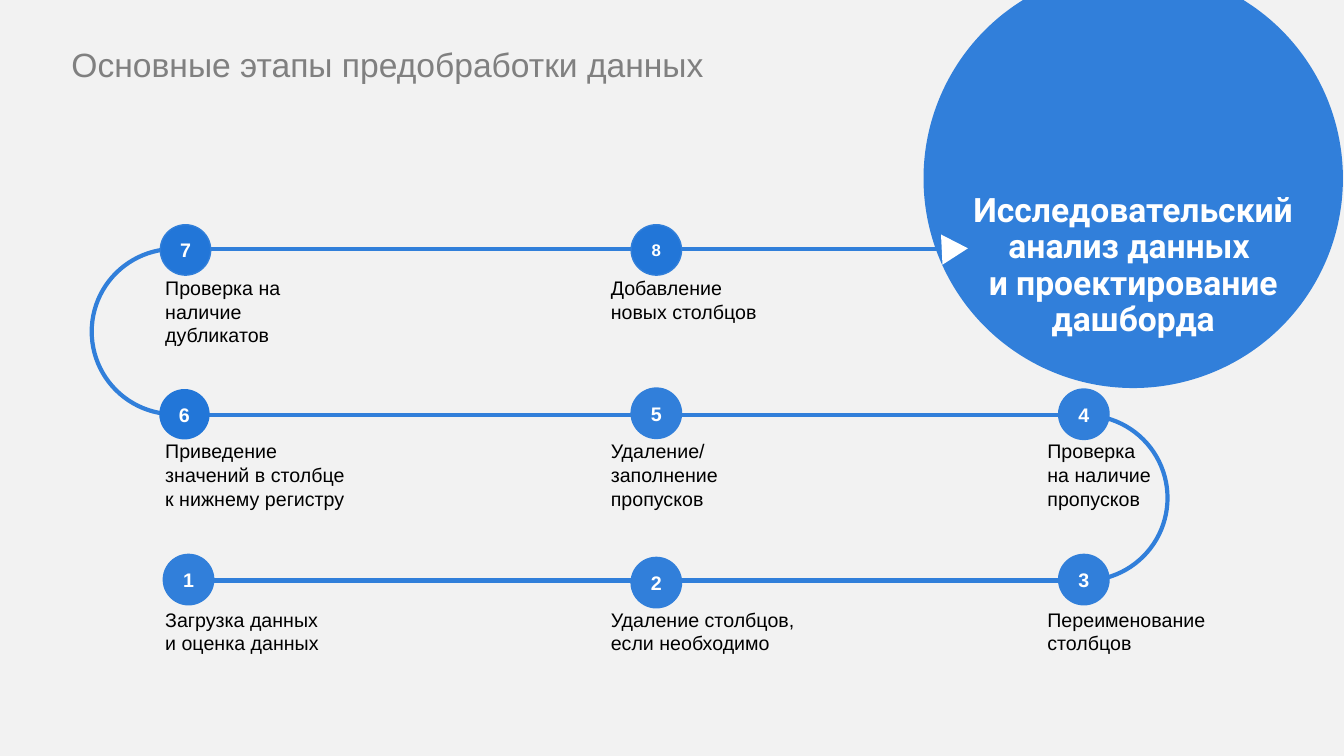
import pptx
import pptx.util
import pptx.dml.color
import pptx.enum.shapes
import pptx.enum.text
from lxml import etree

Inches, Pt = pptx.util.Inches, pptx.util.Pt
SHAPE = pptx.enum.shapes.MSO_SHAPE
ALIGN = pptx.enum.text.PP_ALIGN
COLORS = {
    name: pptx.dml.color.RGBColor.from_string(value)
    for name, value in {
        "background": "F2F2F2", "blue": "317FDA", "deep": "2276D8",
        "white": "FFFFFF", "black": "000000", "gray": "808080",
    }.items()
}

prs = pptx.Presentation()
prs.slide_width, prs.slide_height = Inches(13.33), Inches(7.5)
s = prs.slides.add_slide(prs.slide_layouts[6])
s.background.fill.solid()
s.background.fill.fore_color.rgb = COLORS["background"]


def add_shape(kind, box, fill=None, line=None, width=1):
    sp = s.shapes.add_shape(kind, *[Inches(v) for v in box])
    sp.shadow.inherit = False
    if fill:
        sp.fill.solid()
        sp.fill.fore_color.rgb = COLORS[fill]
    else:
        sp.fill.background()
    if line:
        sp.line.color.rgb = COLORS[line]
        sp.line.width = Pt(width)
    else:
        sp.line.fill.background()
    return sp


def write(tf, text, size, color, font="Arial", bold=False, align=ALIGN.LEFT, spacing=None):
    """Fill a text frame, one paragraph per line of text."""
    tf.word_wrap = True
    tf.text = text
    for p in tf.paragraphs:
        p.alignment = align
        p.line_spacing = spacing
        for r in p.runs:
            r.font.name, r.font.size, r.font.bold = font, Pt(size), bold
            r.font.color.rgb = COLORS[color]


# Goal circle and the winding route
add_shape(SHAPE.FLOWCHART_CONNECTOR, (9.16, -0.31, 4.16, 4.16), "blue")

for x1, x2, y in [(1.87, 9.33, 2.47), (1.59, 10.64, 4.12), (1.87, 10.64, 5.76)]:
    route = s.shapes.add_connector(
        pptx.enum.shapes.MSO_CONNECTOR.STRAIGHT,
        Inches(x1), Inches(y), Inches(x2), Inches(y))
    route.line.color.rgb = COLORS["blue"]
    route.line.width = Pt(3)
    etree.SubElement(route._element.spPr, pptx.oxml.ns.qn("a:effectLst"))

for x, y, end, flipped in [(0.91, 2.47, 54.82, True), (9.94, 4.12, 54.34, False)]:
    turn = add_shape(SHAPE.ARC, (x, y, 1.64, 1.64), line="blue", width=3)
    turn.adjustments[0] = 162
    turn.adjustments[1] = end
    if flipped:
        turn._element.spPr.get_or_add_xfrm().set("flipH", "1")

# Numbered steps: number, left, top, fill, outline, number size
steps = [
    (1, 1.62, 5.5, "blue", "blue", 14),
    (2, 6.26, 5.53, "blue", "blue", 14),
    (3, 10.5, 5.5, "blue", "blue", 14),
    (4, 10.5, 3.86, "blue", "blue", 14),
    (5, 6.26, 3.85, "blue", "blue", 14),
    (6, 1.58, 3.86, "deep", None, 14),
    (7, 1.59, 2.23, "deep", "blue", 14),
    (8, 6.26, 2.23, "deep", "blue", 12),
]
for number, x, y, fill, line, size in steps:
    badge = add_shape(SHAPE.FLOWCHART_CONNECTOR, (x, y, 0.5 if line else 0.5, 0.5), fill, line)
    tf = badge.text_frame
    tf.margin_left = tf.margin_right = tf.margin_top = tf.margin_bottom = 0
    tf.vertical_anchor = pptx.enum.text.MSO_ANCHOR.MIDDLE
    write(tf, str(number), size, "white", bold=True, align=ALIGN.CENTER)

# Step captions: columns and rows shared by the grid
LEFT, MIDDLE, RIGHT = 1.54, 5.96, 10.29
TOP_ROW, MIDDLE_ROW, BOTTOM_ROW = 2.69, 4.31, 5.98
captions = [
    (LEFT, BOTTOM_ROW, 1.76, 0.57, "Загрузка данных и оценка данных"),
    (MIDDLE, BOTTOM_ROW, 2.04, 0.57, "Удаление столбцов, если необходимо"),
    (RIGHT, BOTTOM_ROW, 2.04, 0.57, "Переименование столбцов"),
    (RIGHT, MIDDLE_ROW, 1.4, 0.81, "Проверка\nна наличие\nпропусков"),
    (MIDDLE, MIDDLE_ROW, 2.17, 0.81, "Удаление/ заполнение пропусков"),
    (LEFT, MIDDLE_ROW, 2.01, 0.81, "Приведение значений в столбце к нижнему регистру"),
    (LEFT, TOP_ROW, 1.79, 0.81, "Проверка на наличие дубликатов"),
    (MIDDLE, TOP_ROW, 1.8, 0.57, "Добавление\nновых столбцов"),
]
for x, y, w, h, text in captions:
    caption = s.shapes.add_textbox(Inches(x), Inches(y), Inches(w), Inches(h))
    write(caption.text_frame, text, 14, "black")

# Goal text, arrow tip and title
goal = s.shapes.add_textbox(Inches(9.39), Inches(1.87), Inches(3.7), Inches(1.56))
write(goal.text_frame, "Исследовательский анализ данных \nи проектирование дашборда",
      24, "white", font="Roboto", bold=True, align=ALIGN.CENTER, spacing=0.9)

tip = add_shape(SHAPE.ISOSCELES_TRIANGLE, (9.32, 2.34, 0.3, 0.26), "white")
tip.rotation = 87.2

title = s.shapes.add_textbox(Inches(0.61), Inches(0.39), Inches(8.92), Inches(0.5))
write(title.text_frame, "Основные этапы предобработки данных", 24, "gray")

prs.save("out.pptx")
